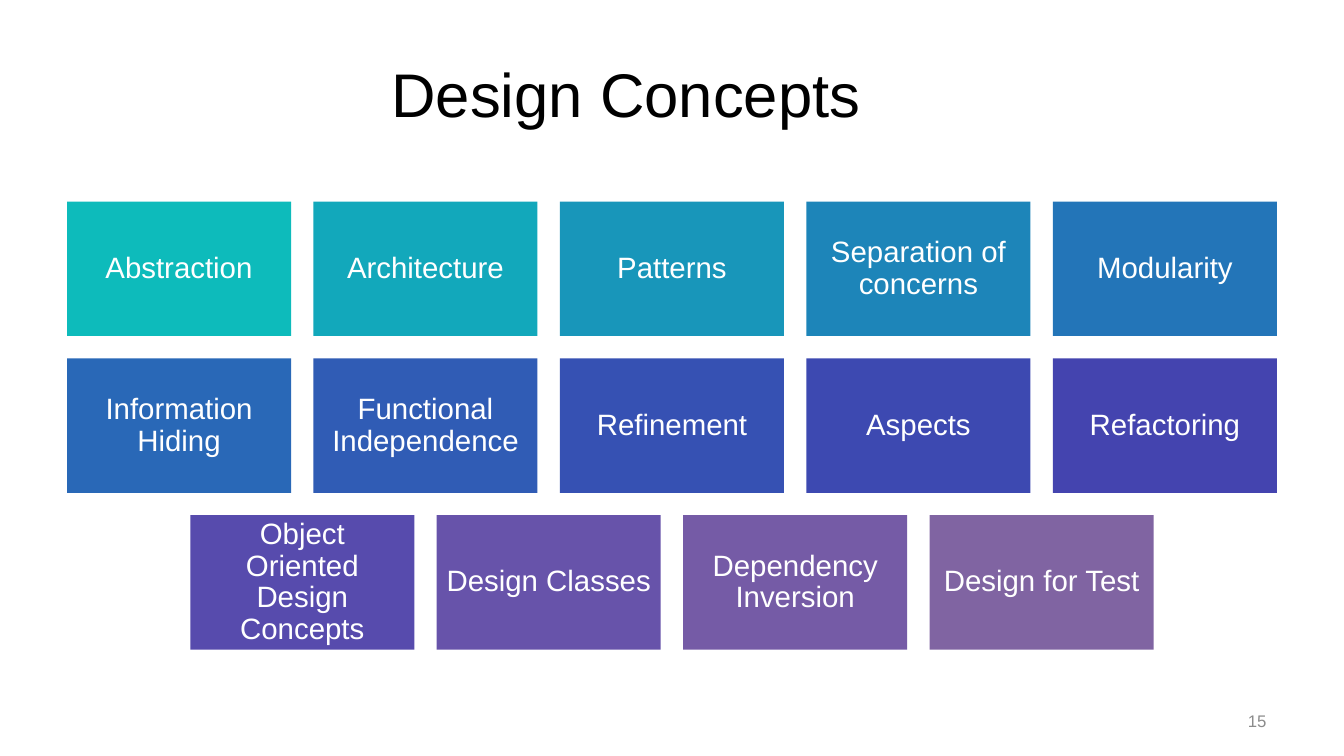
from dataclasses import dataclass

from pptx import Presentation
from pptx.dml.color import RGBColor
from pptx.enum.shapes import MSO_SHAPE
from pptx.enum.text import MSO_ANCHOR, MSO_AUTO_SIZE, PP_ALIGN
from pptx.slide import Slide
from pptx.text.text import TextFrame
from pptx.util import Inches, Pt

RECTANGLE = MSO_SHAPE.RECTANGLE
MIDDLE = MSO_ANCHOR.MIDDLE
NO_AUTOFIT = MSO_AUTO_SIZE.NONE
CENTER, RIGHT = PP_ALIGN.CENTER, PP_ALIGN.RIGHT
TITLE_ONLY_LAYOUT = 5

SLIDE_WIDTH, SLIDE_HEIGHT = 13.33, 7.5
GRID_WIDTH, GRID_TOP, COLUMNS = 12, 2, 5
GAP_SHARE, HEIGHT_SHARE = 0.1, 0.6
TILE_WIDTH = GRID_WIDTH / (COLUMNS + (COLUMNS - 1) * GAP_SHARE)
TILE_HEIGHT = TILE_WIDTH * HEIGHT_SHARE
GAP = TILE_WIDTH * GAP_SHARE
TILE_INSET = 0.09


@dataclass(frozen=True)
class Theme:
    font: str = "Arial"
    title_size: int = 44
    tile_size: int = 21
    number_size: int = 12
    title_color: str = "000000"
    tile_color: str = "FFFFFF"
    number_color: str = "8C8C8C"


@dataclass(frozen=True)
class Concept:
    label: str
    fill: str


THEME = Theme()

CONCEPTS = [
    Concept("Abstraction", "0DBBBB"),
    Concept("Architecture", "12A8BB"),
    Concept("Patterns", "1896BA"),
    Concept("Separation of concerns", "1D85B9"),
    Concept("Modularity", "2375B8"),
    Concept("Information Hiding", "2968B7"),
    Concept("Functional Independence", "305CB5"),
    Concept("Refinement", "3651B3"),
    Concept("Aspects", "3D49B1"),
    Concept("Refactoring", "4444AF"),
    Concept("Object Oriented Design Concepts", "574BAD"),
    Concept("Design Classes", "6753AA"),
    Concept("Dependency Inversion", "755BA6"),
    Concept("Design for Test", "8064A2"),
]


def write(frame: TextFrame, text: str, size: int, color: str, align: PP_ALIGN) -> None:
    frame.text = text
    frame.word_wrap = True
    frame.auto_size = NO_AUTOFIT
    frame.vertical_anchor = MIDDLE
    para = frame.paragraphs[0]
    para.alignment = align
    font = para.runs[0].font
    font.name = THEME.font
    font.size = Pt(size)
    font.color.rgb = RGBColor.from_string(color)


def add_title(page: Slide, text: str) -> None:
    title = page.shapes.title
    title.left, title.top = Inches(0.67), Inches(0.3)
    title.width, title.height = Inches(11.08), Inches(1.25)
    write(title.text_frame, text, THEME.title_size, THEME.title_color, CENTER)


def add_tile(page: Slide, concept: Concept, left: float, top: float) -> None:
    tile = page.shapes.add_shape(
        RECTANGLE, Inches(left), Inches(top), Inches(TILE_WIDTH), Inches(TILE_HEIGHT)
    )
    tile.shadow.inherit = False
    tile.fill.solid()
    tile.fill.fore_color.rgb = RGBColor.from_string(concept.fill)
    tile.line.fill.background()
    frame = tile.text_frame
    frame.margin_left = frame.margin_right = Inches(TILE_INSET)
    frame.margin_top = frame.margin_bottom = Inches(TILE_INSET)
    write(frame, concept.label, THEME.tile_size, THEME.tile_color, CENTER)
    frame.paragraphs[0].line_spacing = 0.9


def add_concept_grid(page: Slide, concepts: list[Concept]) -> None:
    for start in range(0, len(concepts), COLUMNS):
        row = concepts[start:start + COLUMNS]
        row_width = len(row) * (TILE_WIDTH + GAP) - GAP
        row_left = (SLIDE_WIDTH - row_width) / 2
        top = GRID_TOP + start // COLUMNS * (TILE_HEIGHT + GAP)
        for column, concept in enumerate(row):
            add_tile(page, concept, row_left + column * (TILE_WIDTH + GAP), top)


def add_page_number(page: Slide, number: str) -> None:
    box = page.shapes.add_textbox(Inches(9.55), Inches(6.95), Inches(3.11), Inches(0.4))
    write(box.text_frame, number, THEME.number_size, THEME.number_color, RIGHT)


def main() -> None:
    deck = Presentation()
    deck.slide_width = Inches(SLIDE_WIDTH)
    deck.slide_height = Inches(SLIDE_HEIGHT)
    page = deck.slides.add_slide(deck.slide_layouts[TITLE_ONLY_LAYOUT])
    add_title(page, "Design Concepts")
    add_concept_grid(page, CONCEPTS)
    add_page_number(page, "15")
    deck.save("out.pptx")


if __name__ == "__main__":
    main()
